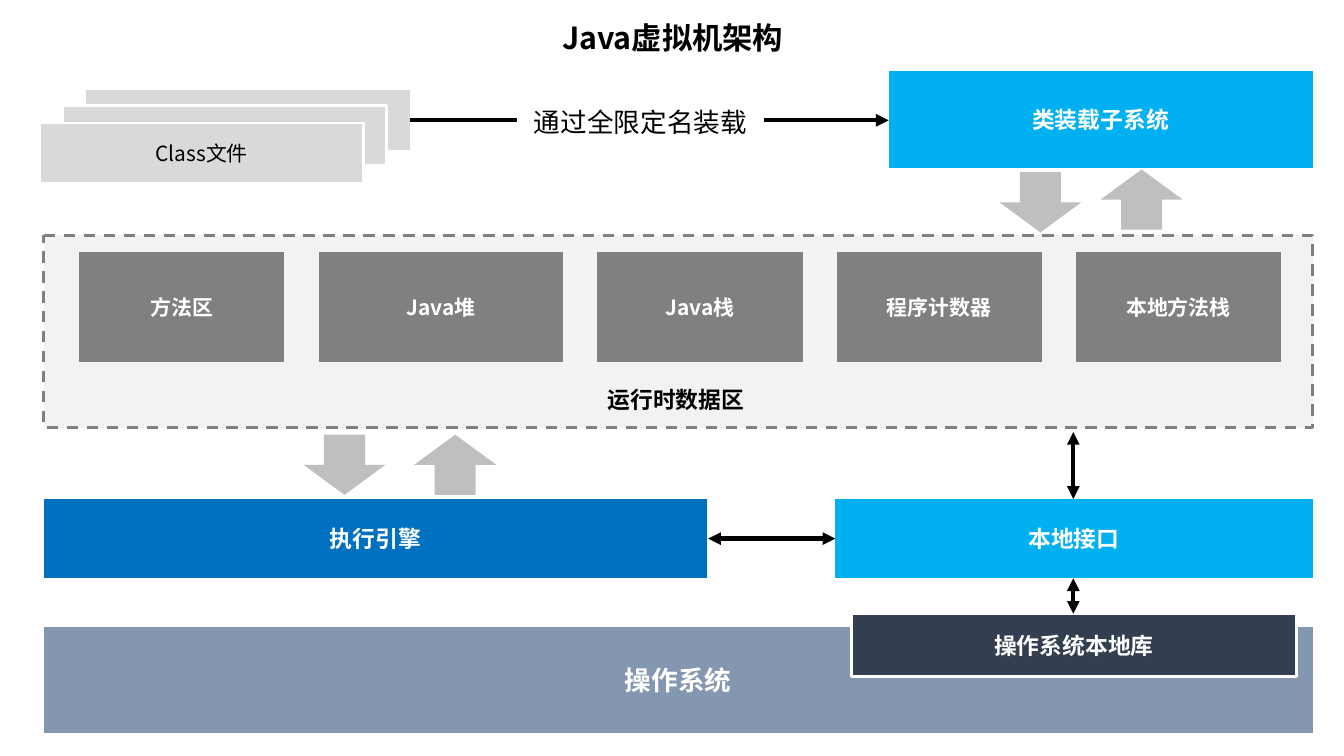
from dataclasses import dataclass

from lxml import etree
from pptx import Presentation
from pptx.dml.color import RGBColor
from pptx.enum.dml import MSO_LINE
from pptx.enum.shapes import MSO_CONNECTOR, MSO_SHAPE
from pptx.enum.text import MSO_ANCHOR, PP_ALIGN
from pptx.oxml.ns import qn
from pptx.util import Emu, Pt

PROCESS = MSO_SHAPE.FLOWCHART_PROCESS
DOWN, UP = MSO_SHAPE.DOWN_ARROW, MSO_SHAPE.UP_ARROW
STRAIGHT = MSO_CONNECTOR.STRAIGHT
DASH = MSO_LINE.DASH
MIDDLE, CENTER = MSO_ANCHOR.MIDDLE, PP_ALIGN.CENTER

PX = 9144  # 100 px to the inch


@dataclass(frozen=True)
class Theme:
    font: str = "Noto Sans CJK SC"
    black: str = "000000"
    white: str = "FFFFFF"
    panel: str = "F2F2F2"
    paper: str = "D9D9D9"
    arrow: str = "BFBFBF"
    gray: str = "808080"
    sky: str = "00B0F0"
    blue: str = "0070C0"
    slate: str = "8497B0"
    navy: str = "333F50"
    small: int = 11
    body: int = 12
    large: int = 14
    title: int = 16
    border: float = 1.5
    stroke: float = 2.25


T = Theme()


def px(*lengths):
    return [Emu(n * PX) for n in lengths]


def write(sp, text, size=T.body, color=T.white, bold=True):
    """Put one centred line of text in a shape."""
    tf = sp.text_frame
    tf.word_wrap = True
    tf.vertical_anchor = MIDDLE
    tf.margin_left = tf.margin_right = tf.margin_top = tf.margin_bottom = 0
    p = tf.paragraphs[0]
    p.alignment = CENTER
    r = p.add_run()
    r.text = text
    r.font.name, r.font.size, r.font.bold = T.font, Pt(size), bold
    r.font.color.rgb = RGBColor.from_string(color)
    ea = etree.SubElement(r.font._element, qn("a:ea"))
    ea.set("typeface", T.font)


class Diagram:
    def __init__(self, slide, theme):
        self.s, self.t = slide, theme

    def box(self, x, y, w, h, fill, text=None, line=None, dash=None,
            kind=PROCESS, **fmt):
        sp = self.s.shapes.add_shape(kind, *px(x, y, w, h))
        sp.shadow.inherit = False
        sp.fill.solid()
        sp.fill.fore_color.rgb = RGBColor.from_string(fill)
        if line:
            sp.line.color.rgb = RGBColor.from_string(line)
            sp.line.width = Pt(self.t.border)
            if dash:
                sp.line.dash_style = dash
        else:
            sp.line.fill.background()
        if text:
            write(sp, text, **fmt)

    def label(self, x, y, w, h, text, **fmt):
        write(self.s.shapes.add_textbox(*px(x, y, w, h)), text,
              color=self.t.black, **fmt)

    def block_arrow(self, kind, x, y):
        self.box(x, y, 60, 44, self.t.arrow, kind=kind)

    def link(self, x1, y1, x2, y2, ends=("headEnd", "tailEnd")):
        c = self.s.shapes.add_connector(STRAIGHT, *px(x1, y1, x2, y2))
        c.line.color.rgb = RGBColor.from_string(self.t.black)
        c.line.width = Pt(self.t.stroke)
        ln = c.line._get_or_add_ln()
        for end in ends:
            etree.SubElement(ln, qn(f"a:{end}")).set("type", "triangle")
        etree.SubElement(c._element.spPr, qn("a:effectLst"))


def main():
    prs = Presentation()
    prs.slide_width, prs.slide_height = px(983, 553)
    d = Diagram(prs.slides.add_slide(prs.slide_layouts[6]), T)

    d.label(353, 9, 278, 37, "Java虚拟机架构", size=T.title)

    # Class files, loaded by the class loader
    d.box(63, 66, 237, 44, T.paper)
    d.box(46, 77, 237, 44, T.paper, line=T.white)
    d.box(29, 90, 237, 44, T.paper, "Class文件", line=T.white,
          size=T.small, color=T.black, bold=False)
    d.box(650, 52, 310, 71, T.sky, "类装载子系统")
    d.link(300, 88, 650, 88, ends=("tailEnd",))
    d.box(378, 74, 181, 31, T.white, "通过全限定名装载",
          size=T.large, color=T.black, bold=False)

    # Runtime data areas
    d.box(32, 172, 928, 141, T.panel, line=T.gray, dash=DASH)
    x, gap = 58, 25
    for name, width in (("方法区", 150), ("Java堆", 179), ("Java栈", 150),
                        ("程序计数器", 150), ("本地方法栈", 150)):
        d.box(x, 184, width, 81, T.gray, name, size=T.small)
        x += width + gap
    d.label(371, 276, 247, 32, "运行时数据区")

    # Execution engine, native interface and operating system
    d.box(32, 365, 485, 58, T.blue, "执行引擎")
    d.box(611, 365, 349, 58, T.sky, "本地接口")
    d.box(32, 459, 928, 77, T.slate, "操作系统", size=T.large)
    d.box(623, 449, 325, 46, T.navy, "操作系统本地库", line=T.white)

    # Data flow
    for kind, ax, ay in ((DOWN, 731, 126), (UP, 805, 124),
                         (DOWN, 222, 318), (UP, 303, 318)):
        d.block_arrow(kind, ax, ay)
    for ends in ((518, 394, 611, 394), (785, 365, 785, 316),
                 (785, 449, 785, 423)):
        d.link(*ends)

    prs.save("out.pptx")


if __name__ == "__main__":
    main()
